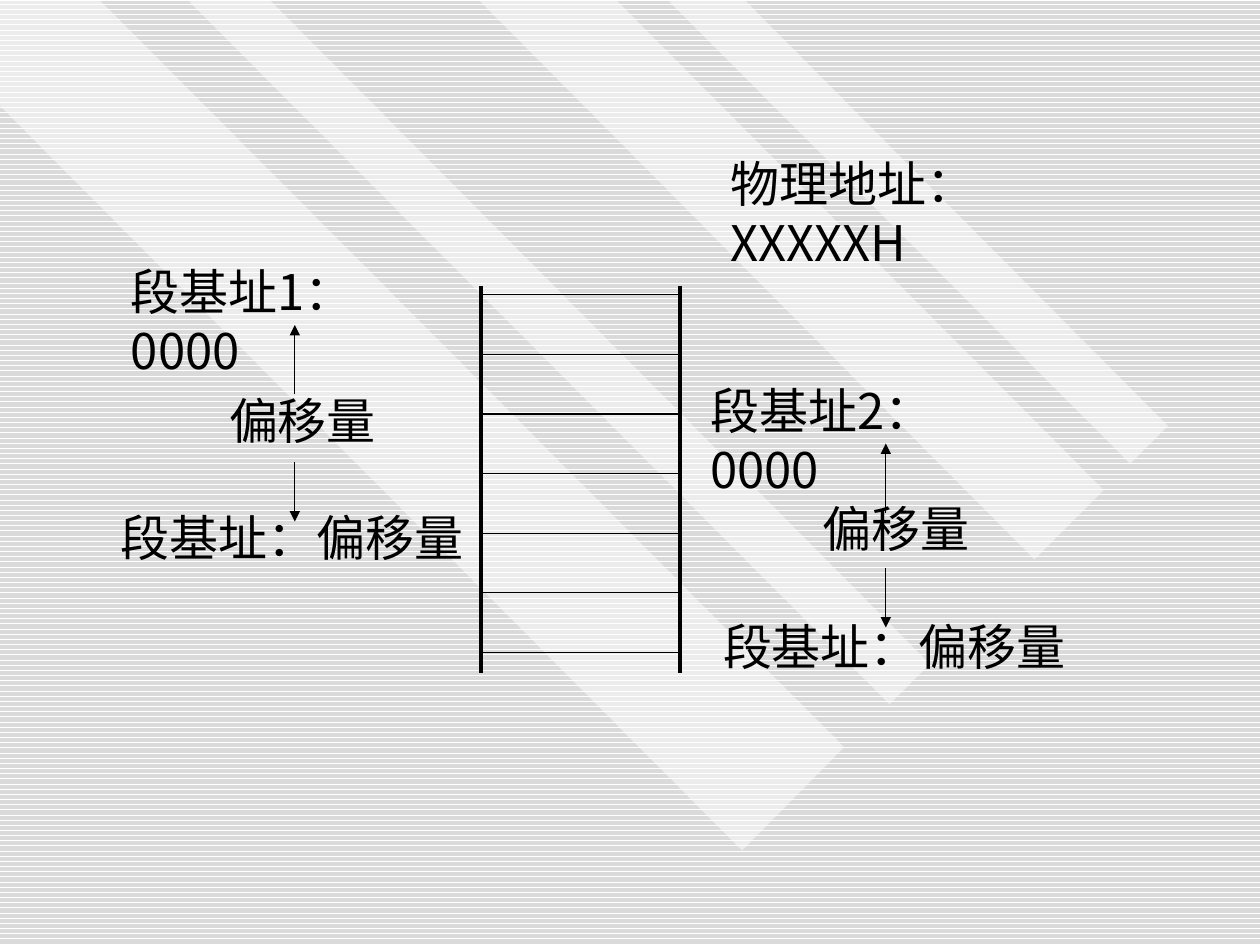
from lxml.etree import SubElement
from pptx import Presentation
from pptx.dml.color import RGBColor
from pptx.enum.dml import MSO_PATTERN
from pptx.enum.shapes import MSO_CONNECTOR
from pptx.enum.text import MSO_AUTO_SIZE
from pptx.oxml.ns import qn
from pptx.util import Inches, Pt

BLACK = RGBColor(0x00, 0x00, 0x00)
WHITE = RGBColor(0xFF, 0xFF, 0xFF)
STRIPE_GRAY = RGBColor(0xDA, 0xDA, 0xDA)

COLUMNS, ROWS = 100, 75
CELL = Inches(0.1)
FINE_STEPS = 10  # freeform points are rounded to this part of a cell

BANDS = [
    [(67, 59.3), (7.9, 0), (0, 0), (0, 8.4), (58.9, 67.5)],
    [(21.4, 0), (73.8, 52.7), (70.6, 55.9), (14.9, 0)],
    [(48.9, 0), (87.6, 38.9), (82.1, 44.4), (38, 0)],
    [(53, 0), (89.7, 36.8), (92.7, 33.8), (59.1, 0)],
]

MEMORY_LEFT, MEMORY_RIGHT = 38.2, 54
MEMORY_TOP, MEMORY_BOTTOM = 22.7, 53.4
FIRST_DIVIDER, DIVIDER_GAP, DIVIDER_COUNT = 23.4, 4.73, 7

# text, left column, top row, width in columns
LABELS = [
    ("物理地址：XXXXXH", 57, 11.7, 33.4),
    ("段基址：偏移量", 56.4, 48.4, 29.5),
    ("偏移量", 64.3, 39.1, 14),
    ("段基址2：0000", 55.4, 29.7, 27.5),
    ("段基址：偏移量", 8.6, 39.8, 29.5),
    ("偏移量", 17.2, 30.5, 14),
    ("段基址1：0000", 9.4, 20.3, 27.5),
]
LABEL_HEIGHT = 5.7

# column, tail row of the up arrow, tail row of the down arrow
OFFSET_ARROWS = [(70.3, 40.7, 45.1), (23.4, 31.3, 36.7)]
UP_LENGTH, DOWN_LENGTH = 5.5, 4.7


def cells(count):
    return round(count * CELL)


def set_format(target, values):
    for name, value in values.items():
        setattr(target, name, value)


class SlideBuilder:
    """Holds the style and the current slide; positions are grid cells."""

    frame_format = {"word_wrap": True, "auto_size": MSO_AUTO_SIZE.SHAPE_TO_FIT_TEXT}
    font_format = {"name": "Noto Sans CJK SC", "size": Pt(28)}

    def __init__(self, slide):
        self.slide = slide

    def striped_background(self):
        fill = self.slide.background.fill
        fill.patterned()
        fill.pattern = MSO_PATTERN.DARK_HORIZONTAL
        fill.fore_color.rgb = STRIPE_GRAY
        fill.back_color.rgb = WHITE

    def band(self, points):
        """Draw a half-transparent white outline."""
        fine = [(x * FINE_STEPS, y * FINE_STEPS) for x, y in points]
        builder = self.slide.shapes.build_freeform(*fine[0], scale=CELL / FINE_STEPS)
        builder.add_line_segments(fine[1:], close=True)
        shape = builder.convert_to_shape()
        shape.shadow.inherit = False
        shape.line.fill.background()
        shape.fill.solid()
        shape.fill.fore_color.rgb = WHITE
        color = shape.fill._xPr.find(f"{qn('a:solidFill')}/{qn('a:srgbClr')}")
        SubElement(color, qn("a:alpha"), val="50000")

    def line(self, start, end, width=0.75, arrow=False):
        connector = self.slide.shapes.add_connector(
            MSO_CONNECTOR.STRAIGHT, *map(cells, start + end)
        )
        connector.line.color.rgb = BLACK
        connector.line.width = Pt(width)
        if arrow:
            SubElement(connector.line._get_or_add_ln(), qn("a:tailEnd"), type="triangle")
        SubElement(connector._element.spPr, qn("a:effectLst"))

    def label(self, text, left, top, width):
        box = self.slide.shapes.add_textbox(*map(cells, (left, top, width, LABEL_HEIGHT)))
        set_format(box.text_frame, self.frame_format)
        run = box.text_frame.paragraphs[0].add_run()
        run.text = text
        set_format(run.font, self.font_format)
        run.font.color.rgb = BLACK
        SubElement(run.font._element, qn("a:ea"), typeface=self.font_format["name"])


def main():
    presentation = Presentation()
    presentation.slide_width = cells(COLUMNS)
    presentation.slide_height = cells(ROWS)
    blank_layout = presentation.slide_layouts[6]
    builder = SlideBuilder(presentation.slides.add_slide(blank_layout))

    builder.striped_background()
    for points in BANDS:
        builder.band(points)

    for column in (MEMORY_LEFT, MEMORY_RIGHT):
        builder.line((column, MEMORY_TOP), (column, MEMORY_BOTTOM), width=2.25)
    for index in range(DIVIDER_COUNT):
        row = FIRST_DIVIDER + index * DIVIDER_GAP
        builder.line((MEMORY_LEFT, row), (MEMORY_RIGHT, row))

    for label in LABELS:
        builder.label(*label)
    for column, up_row, down_row in OFFSET_ARROWS:
        builder.line((column, up_row), (column, up_row - UP_LENGTH), arrow=True)
        builder.line((column, down_row), (column, down_row + DOWN_LENGTH), arrow=True)

    presentation.save("out.pptx")


if __name__ == "__main__":
    main()
